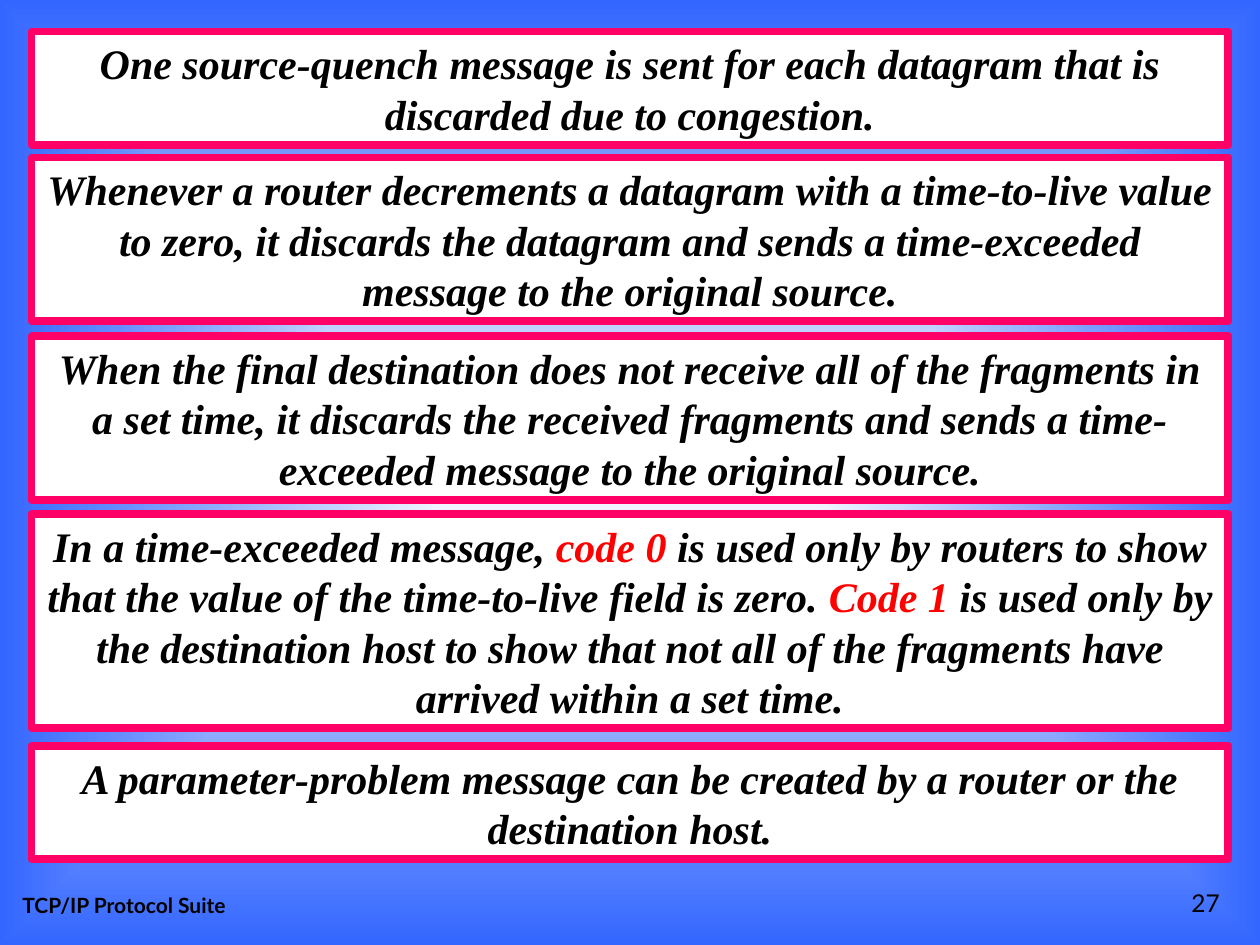
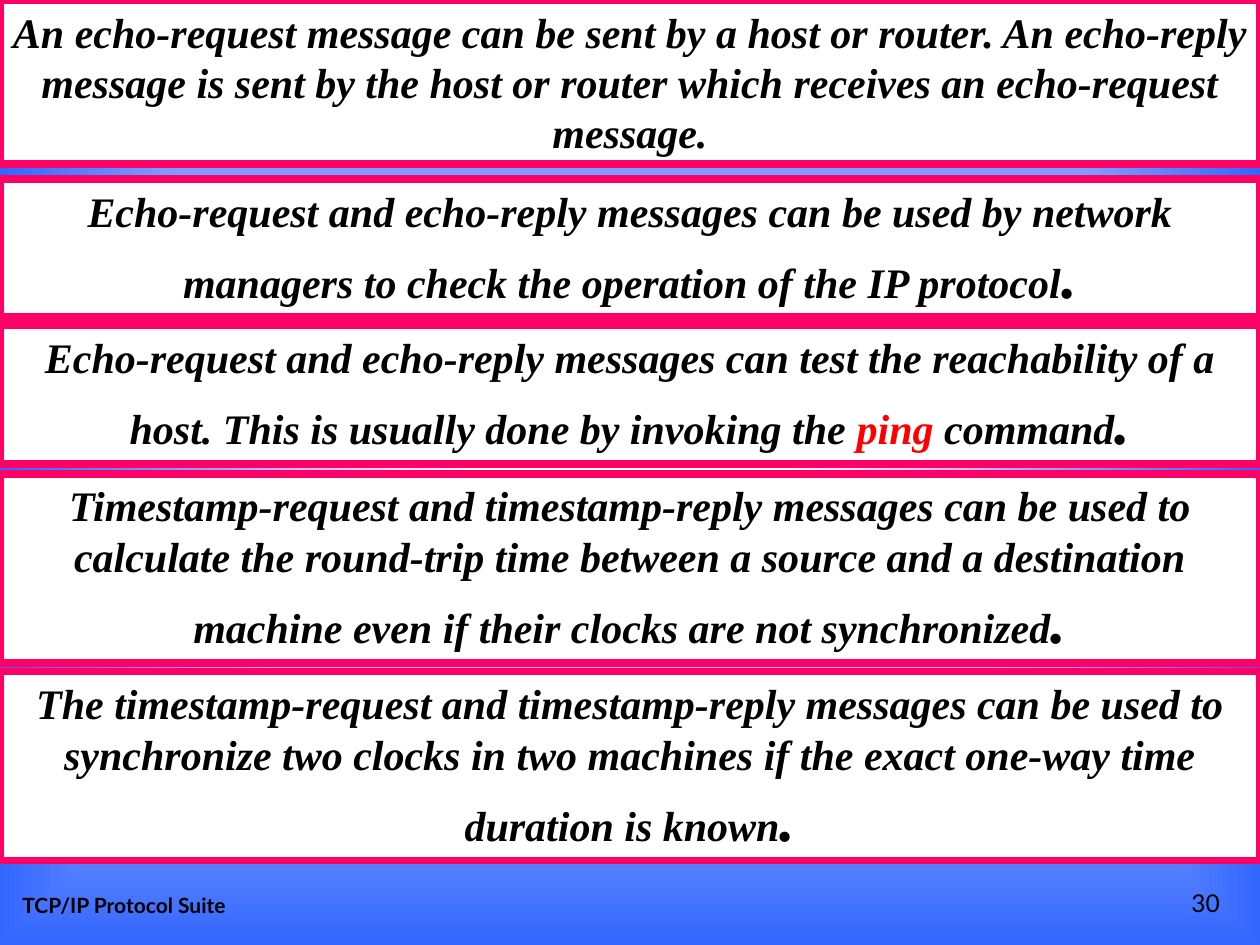
from lxml import etree
from pptx import Presentation
from pptx.dml.color import RGBColor
from pptx.enum.shapes import MSO_SHAPE as Shape
from pptx.enum.text import MSO_ANCHOR as Anchor, MSO_AUTO_SIZE as AutoSize, PP_ALIGN as Align
from pptx.oxml.ns import qn
from pptx.util import Inches, Pt

# ---- Content: each note is (top, height, runs); a run is (text, style) ----
FOOTER = "TCP/IP Protocol Suite"
LARGE_STOP = (".", "large")

SLIDES = [
    {"number": "27", "left": 0.25, "notes": [
        (0.25, 0.9, [("One source-quench message is sent for each datagram that is "
                      "discarded due to congestion.", "plain")]),
        (1.25, 1.3, [("Whenever a router decrements a datagram with a time-to-live value "
                      "to zero, it discards the datagram and sends a time-exceeded "
                      "message to the original source.", "plain")]),
        (2.67, 1.3, [("When the final destination does not receive all of the fragments in "
                      "a set time, it discards the received fragments and sends a "
                      "time-exceeded message to the original source.", "plain")]),
        (4.08, 1.7, [("In a time-exceeded message, ", "plain"),
                     ("code 0", "keyword"),
                     (" is used only by routers to show that the value of the "
                      "time-to-live field is zero. ", "plain"),
                     ("Code 1", "keyword"),
                     (" is used only by the destination host to show that not all of "
                      "the fragments have arrived within a set time.", "plain")]),
        (5.92, 0.9, [("A parameter-problem message can be created by a router or the "
                      "destination host.", "plain")]),
    ]},
    {"number": "30", "left": 0, "notes": [
        (0, 1.3, [("An echo-request message can be sent by a host or router. An echo-reply "
                   "message is sent by the host or router which receives an echo-request "
                   "message.", "plain")]),
        (1.42, 1.1, [("Echo-request and echo-reply messages can be used by network "
                      "managers to check the operation of the IP protocol", "plain"),
                     LARGE_STOP]),
        (2.58, 1.1, [("Echo-request and echo-reply messages can test the reachability of a "
                      "host. This is usually done by invoking the ", "plain"),
                     ("ping", "keyword"),
                     (" command", "plain"),
                     LARGE_STOP]),
        (3.76, 1.5, [("Timestamp-request and timestamp-reply messages can be used to "
                      "calculate the round-trip time between a source and a destination "
                      "machine even if their clocks are not synchronized", "plain"),
                     LARGE_STOP]),
        (5.33, 1.5, [("The timestamp-request and timestamp-reply messages can be used to "
                      "synchronize two clocks in two machines if the exact one-way time "
                      "duration is known", "plain"),
                     LARGE_STOP]),
    ]},
]

# ---- Shared look ----
COLORS = {"white": "FFFFFF", "blue": "3366FF", "border": "FF0066",
          "text": "000000", "keyword": "FF0000"}
NOTE_FONT = {"name": "Times New Roman", "size": Pt(24), "bold": True, "italic": True}
STYLES = {
    "plain": {**NOTE_FONT, "color": "text"},
    "keyword": {**NOTE_FONT, "color": "keyword"},
    "large": {**NOTE_FONT, "color": "text", "size": Pt(36)},
    "footer": {"name": "Lato", "size": Pt(12), "bold": True, "color": "text"},
    "number": {"name": "Lato", "size": Pt(14), "color": "text"},
}
SLIDE_WIDTH, SLIDE_HEIGHT = 10, 7.5
FOOTER_TOP, FOOTER_HEIGHT = 6.83, 0.5


def rgb(name):
    return RGBColor.from_string(COLORS[name])


def add_runs(paragraph, runs):
    for text, style in runs:
        run = paragraph.add_run()
        run.text = text
        for attribute, value in STYLES[style].items():
            if attribute == "color":
                run.font.color.rgb = rgb(value)
            else:
                setattr(run.font, attribute, value)


def set_background(master):
    """Gradient from a white centre to blue edges, shared by all slides."""
    fill = master.background.fill
    fill.gradient()
    for stop, name in zip(fill.gradient_stops, ("white", "blue")):
        stop.color.rgb = rgb(name)
    linear = next(master.element.iter(qn("a:lin")))
    gradient_path = etree.Element(qn("a:path"), {"path": "rect"})
    etree.SubElement(gradient_path, qn("a:fillToRect"),
                     {side: "50000" for side in "ltrb"})
    linear.getparent().replace(linear, gradient_path)


def add_footer(slide, left, width, text, style, alignment):
    box = slide.shapes.add_textbox(Inches(left), Inches(FOOTER_TOP),
                                   Inches(width), Inches(FOOTER_HEIGHT))
    frame = box.text_frame
    frame.word_wrap = True
    frame.vertical_anchor = Anchor.BOTTOM
    paragraph = frame.paragraphs[0]
    paragraph.alignment = alignment
    add_runs(paragraph, [(text, style)])


def add_note(slide, left, top, height, runs):
    note = slide.shapes.add_shape(Shape.RECTANGLE, Inches(left), Inches(top),
                                  Inches(SLIDE_WIDTH - 2 * left), Inches(height))
    note.shadow.inherit = False
    note.fill.solid()
    note.fill.fore_color.rgb = rgb("white")
    note.line.color.rgb = rgb("border")
    note.line.width = Pt(4.5)
    frame = note.text_frame
    frame.word_wrap = True
    frame.auto_size = AutoSize.SHAPE_TO_FIT_TEXT
    frame.vertical_anchor = Anchor.TOP
    paragraph = frame.paragraphs[0]
    paragraph.alignment = Align.CENTER
    paragraph.space_after = Pt(10)
    add_runs(paragraph, runs)


def main():
    presentation = Presentation()
    presentation.slide_width = Inches(SLIDE_WIDTH)
    presentation.slide_height = Inches(SLIDE_HEIGHT)
    set_background(presentation.slide_master)
    blank_layout = presentation.slide_layouts[6]

    for content in SLIDES:
        slide = presentation.slides.add_slide(blank_layout)
        add_footer(slide, 0.08, 3.17, FOOTER, "footer", Align.LEFT)
        add_footer(slide, 7.7, 2.08, content["number"], "number", Align.RIGHT)
        for top, height, runs in content["notes"]:
            add_note(slide, content["left"], top, height, runs)

    presentation.save("out.pptx")


if __name__ == "__main__":
    main()
